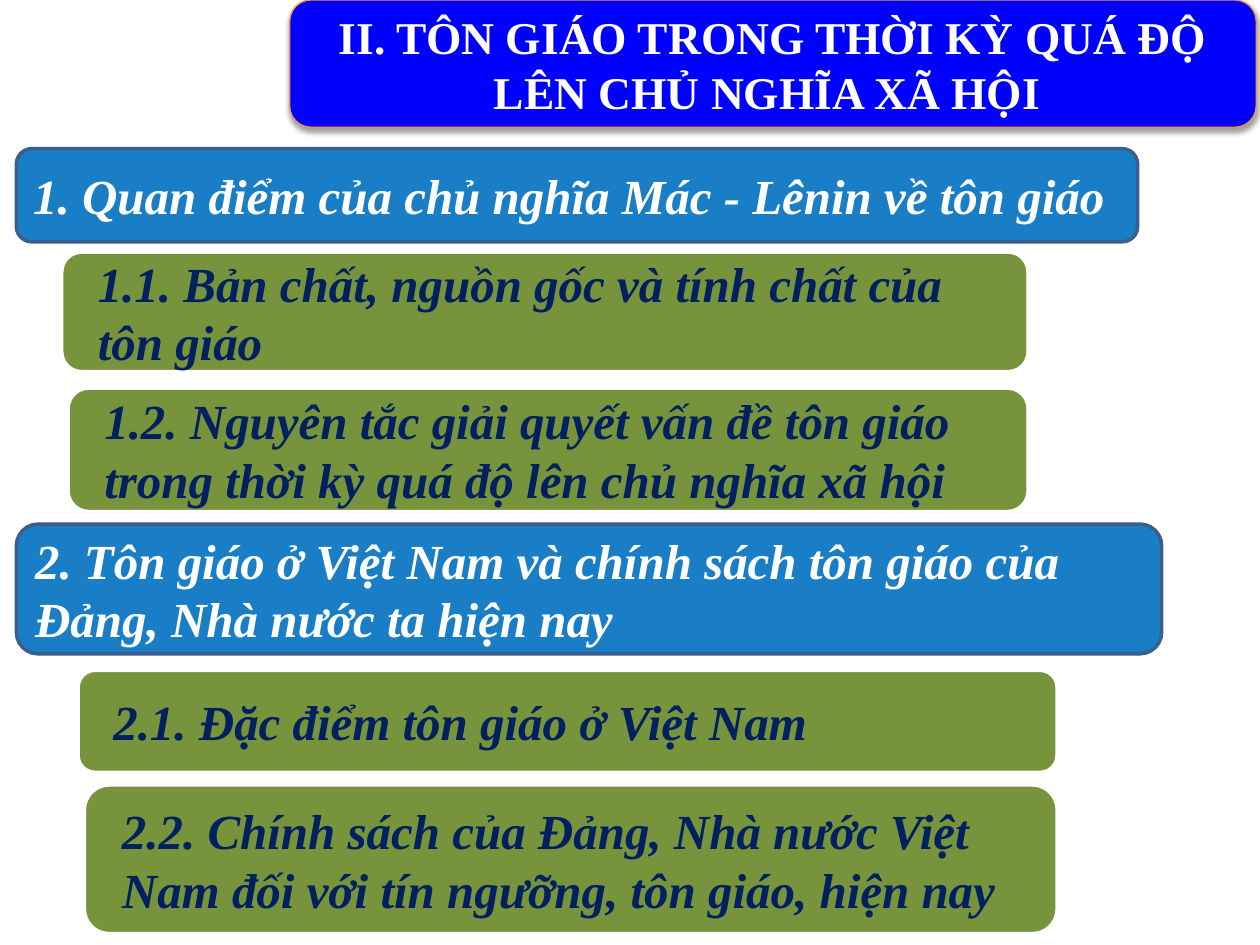
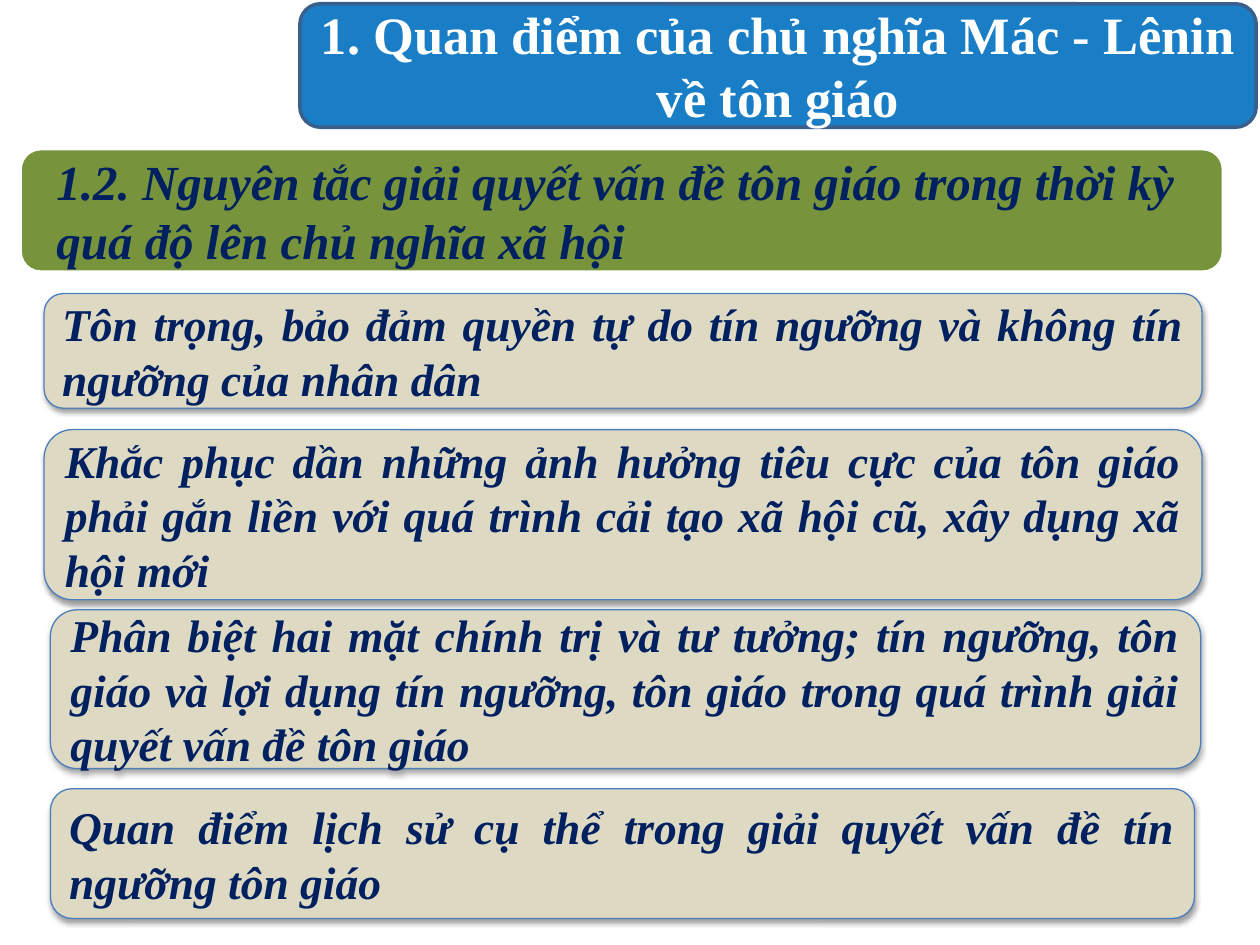
from dataclasses import dataclass

from lxml.etree import SubElement
from pptx import Presentation
from pptx.dml.color import RGBColor
from pptx.enum.shapes import MSO_SHAPE
from pptx.enum.text import MSO_ANCHOR, PP_ALIGN
from pptx.oxml.ns import qn
from pptx.util import Inches, Pt


# Theme: colours, type sizes and box styles
@dataclass(frozen=True)
class BoxStyle:
    fill: str
    line: str
    line_width: float
    text: str
    size: int
    italic: bool = True
    align: PP_ALIGN = PP_ALIGN.LEFT
    opacity: int = 100
    side_margin: float = 0.1
    space_before: float = 0
    shadow: bool = False


class Theme:
    font = "Times New Roman"
    white, navy = "FFFFFF", "002060"
    blue, blue_edge = "0070C0", "3A5F8C"
    chapter = BoxStyle("0000FF", "F69240", 0.75, white, 26, italic=False,
                       align=PP_ALIGN.CENTER, shadow=True)
    title = BoxStyle(blue, blue_edge, 2, white, 30, italic=False,
                     align=PP_ALIGN.CENTER, opacity=90, space_before=6)
    section = BoxStyle(blue, blue_edge, 2, white, 28, opacity=90)
    lead_section = BoxStyle(blue, blue_edge, 2, white, 28, opacity=90,
                            align=PP_ALIGN.JUSTIFY, space_before=5.6)
    topic = BoxStyle("77933C", white, 2, navy, 28, side_margin=0.24)
    principle = BoxStyle("DDD9C3", "4B7EBC", 0.75, navy, 26,
                         align=PP_ALIGN.JUSTIFY, shadow=True)


def add_shadow(shape):
    effects = shape._element.spPr.find(qn("a:effectLst"))
    outer = SubElement(effects, qn("a:outerShdw"), blurRad=str(Pt(3.1)),
                       dist=str(Pt(1.6)), dir="5400000", rotWithShape="0")
    color = SubElement(outer, qn("a:srgbClr"), val="000000")
    SubElement(color, qn("a:alpha"), val="38000")


def add_box(slide, style, bounds, text):
    shape = slide.shapes.add_shape(MSO_SHAPE.ROUNDED_RECTANGLE,
                                   *(Inches(value) for value in bounds))
    shape.fill.solid()
    shape.fill.fore_color.rgb = RGBColor.from_string(style.fill)
    if style.opacity < 100:
        color = shape._element.spPr.find(qn("a:solidFill"))[0]
        SubElement(color, qn("a:alpha"), val=str(style.opacity * 1000))
    shape.line.color.rgb = RGBColor.from_string(style.line)
    shape.line.width = Pt(style.line_width)
    shape.shadow.inherit = False
    if style.shadow:
        add_shadow(shape)

    frame = shape.text_frame
    frame.word_wrap = True
    frame.vertical_anchor = MSO_ANCHOR.MIDDLE
    frame.margin_left = frame.margin_right = Inches(style.side_margin)
    paragraph = frame.paragraphs[0]
    paragraph.alignment = style.align
    paragraph.space_before = Pt(style.space_before)
    run = paragraph.add_run()
    run.text = text
    run.font.name = Theme.font
    run.font.size = Pt(style.size)
    run.font.bold = True
    run.font.italic = style.italic
    run.font.color.rgb = RGBColor.from_string(style.text)


# Wording used on both slides
marxist_view = "1. Quan điểm của chủ nghĩa Mác - Lênin về tôn giáo"
solving_principles = ("1.2. Nguyên tắc giải quyết vấn đề tôn giáo trong thời kỳ "
                      "quá độ lên chủ nghĩa xã hội")

# Slide 1: chapter outline
outline = [
    (Theme.chapter, (2.3, 0, 7.67, 1.01),
     "II. TÔN GIÁO TRONG THỜI KỲ QUÁ ĐỘ LÊN CHỦ NGHĨA XÃ HỘI "),
    (Theme.lead_section, (0.13, 1.18, 8.9, 0.74), marxist_view),
    (Theme.topic, (0.49, 2, 7.67, 0.95),
     "1.1. Bản chất, nguồn gốc và tính chất của tôn giáo"),
    (Theme.topic, (0.54, 3.08, 7.62, 0.98), solving_principles),
    (Theme.section, (0.13, 4.16, 9.09, 1.03),
     "2. Tôn giáo ở Việt Nam và chính sách tôn giáo của Đảng, Nhà nước ta hiện nay"),
    (Theme.topic, (0.62, 5.32, 7.77, 0.81), "2.1. Đặc điểm tôn giáo ở Việt Nam"),
    (Theme.topic, (0.67, 6.23, 7.72, 1.18),
     "2.2. Chính sách của Đảng, Nhà nước Việt Nam đối với tín ngưỡng, "
     "tôn giáo, hiện nay"),
]

# Slide 2: four principles
principles = [
    (Theme.title, (2.38, 0.03, 7.59, 0.98), marxist_view),
    (Theme.topic, (0.16, 1.18, 9.55, 0.98), solving_principles),
    (Theme.principle, (0.35, 2.33, 9.19, 0.91),
     "Tôn trọng, bảo đảm quyền tự do tín ngưỡng và không tín ngưỡng của nhân dân"),
    (Theme.principle, (0.35, 3.41, 9.19, 1.35),
     "Khắc phục dần những ảnh hưởng tiêu cực của tôn giáo phải gắn liền với "
     "quá trình cải tạo xã hội cũ, xây dụng xã hội mới"),
    (Theme.principle, (0.4, 4.84, 9.13, 1.26),
     "Phân biệt hai mặt chính trị và tư tưởng; tín ngưỡng, tôn giáo và lợi dụng "
     "tín ngưỡng, tôn giáo trong quá trình giải quyết vấn đề tôn giáo"),
    (Theme.principle, (0.4, 6.26, 9.08, 1.03),
     "Quan điểm lịch sử cụ thể trong giải quyết vấn đề tín ngưỡng tôn giáo"),
]

# Build the presentation
presentation = Presentation()
presentation.slide_width = Inches(10)
presentation.slide_height = Inches(7.5)
for boxes in (outline, principles):
    slide = presentation.slides.add_slide(presentation.slide_layouts[6])
    for style, bounds, text in boxes:
        add_box(slide, style, bounds, text)

presentation.save("out.pptx")
